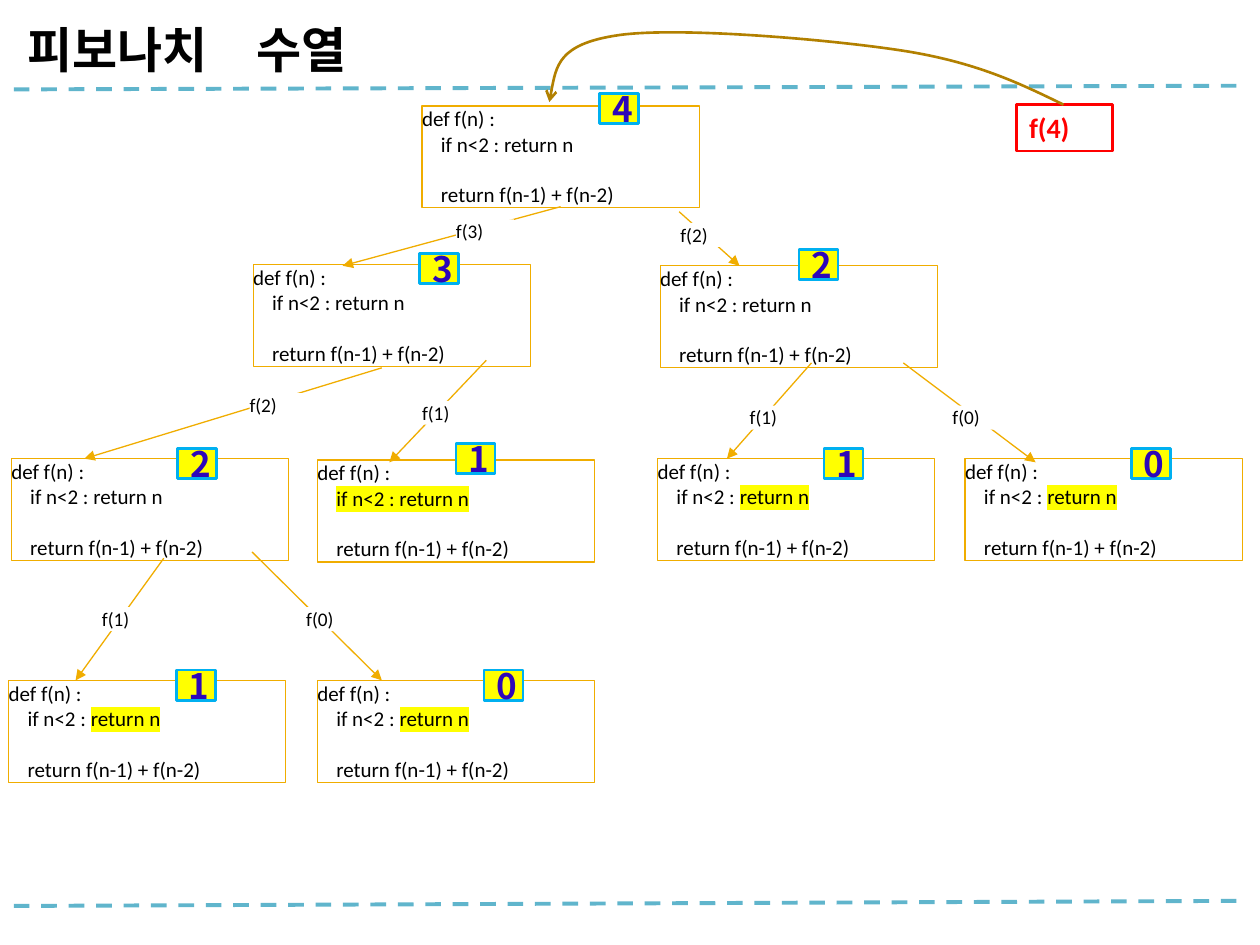
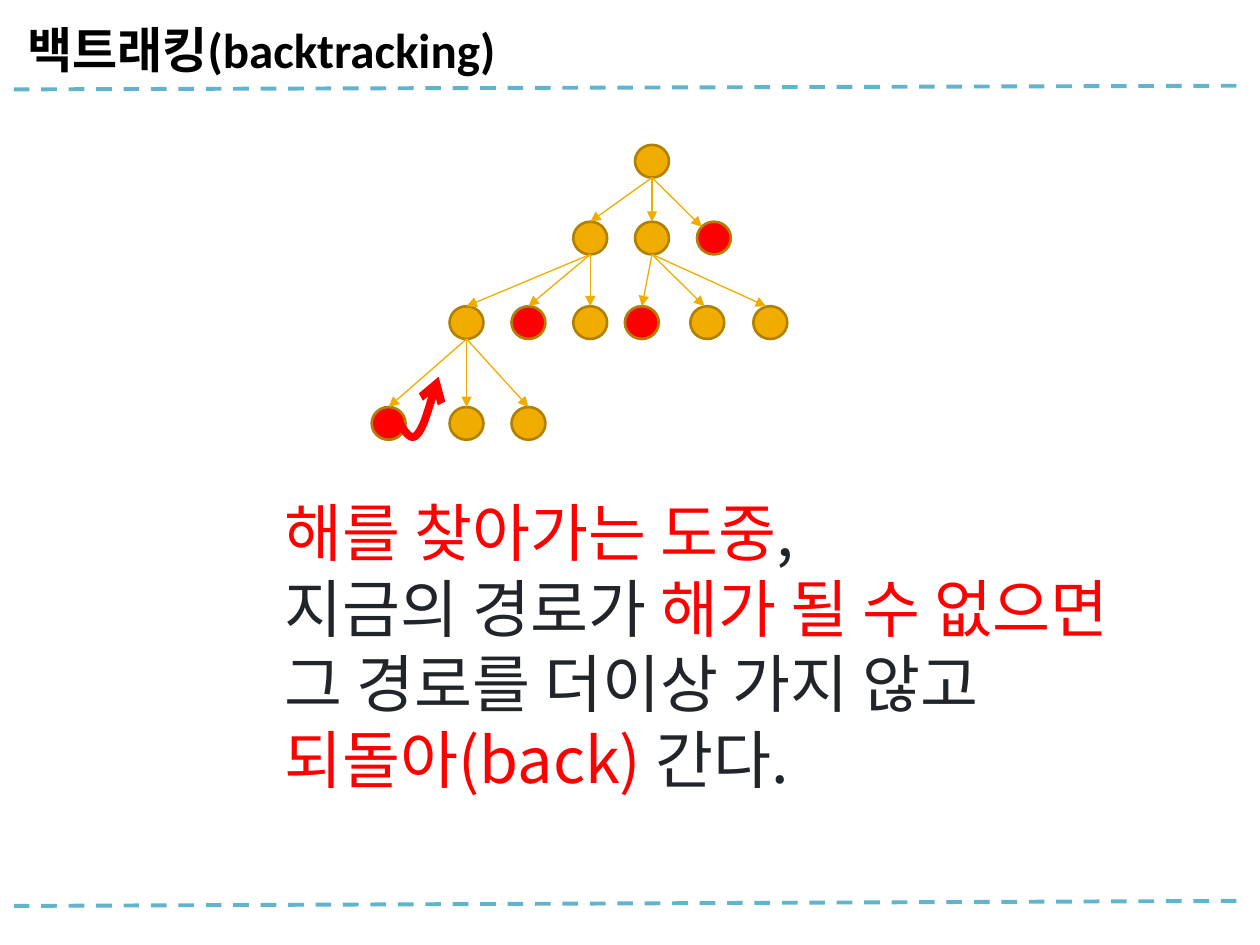
import dataclasses

import pptx
import pptx.dml.color
import pptx.enum.dml
import pptx.enum.shapes
import pptx.enum.text
import pptx.oxml
import pptx.oxml.ns
import pptx.util

Pt = pptx.util.Pt
rgb = pptx.dml.color.RGBColor.from_string
qn = pptx.oxml.ns.qn
shapes = pptx.enum.shapes.MSO_SHAPE
align = pptx.enum.text.PP_ALIGN
anchors = pptx.enum.text.MSO_ANCHOR


@dataclasses.dataclass(frozen=True)
class Theme:
    black: str = "000000"
    white: str = "FFFFFF"
    rule: str = "60B5CC"
    gold: str = "F0AD00"
    bronze: str = "B28000"
    red: str = "FF0000"
    yellow: str = "FFFF00"
    sky: str = "00B0F0"
    violet: str = "2D07B9"
    ink: str = "212529"
    latin: str = "Calibri"
    korean: str = "Noto Sans CJK KR"
    title_size: float = 28
    code_size: float = 12
    call_size: float = 11
    start_size: float = 16
    badge_size: float = 20
    body_size: float = 36


theme = Theme()


def add_box(page, place, kind=shapes.RECTANGLE, fill=None, line=None, line_width=1.5, lines=(),
            size=12, font=theme.latin, bold=False, inset=None, centred=False):
    box = page.shapes.add_shape(kind, *map(Pt, place))
    box.shadow.inherit = False
    if fill:
        box.fill.solid()
        box.fill.fore_color.rgb = rgb(fill)
    else:
        box.fill.background()
    if line:
        box.line.color.rgb = rgb(line)
        box.line.width = Pt(line_width)
    else:
        box.line.fill.background()
    frame = box.text_frame
    frame.word_wrap = True
    frame.vertical_anchor = anchors.MIDDLE if centred else anchors.TOP
    if inset is not None:
        frame.margin_left = frame.margin_right = frame.margin_top = frame.margin_bottom = Pt(inset)
    for number, pieces in enumerate(lines):
        para = frame.add_paragraph() if number else frame.paragraphs[0]
        para.alignment = align.CENTER if centred else align.LEFT
        for text, color, highlight in pieces:
            span = para.add_run()
            span.text = text
            span.font.size = Pt(size)
            span.font.bold = bold
            span.font.color.rgb = rgb(color)
            properties = span.font.color and span._r.get_or_add_rPr()
            if highlight:
                marker = pptx.oxml.parse_xml(
                    f'<a:highlight {pptx.oxml.ns.nsdecls("a")}><a:srgbClr val="{highlight}"/></a:highlight>')
                properties.append(marker)
            span.font.name = font
            east = properties.makeelement(qn("a:ea"), {"typeface": theme.korean})
            properties.append(east)
    return box


def add_line(page, start, end, color, width, tail=None):
    line = page.shapes.add_connector(
        pptx.enum.shapes.MSO_CONNECTOR.STRAIGHT, *map(Pt, start), *map(Pt, end))
    line.line.color.rgb = rgb(color)
    line.line.width = Pt(width)
    outline = line.line._get_or_add_ln()
    if tail:
        outline.append(outline.makeelement(qn("a:tailEnd"), {"type": tail}))
    outline.addnext(outline.makeelement(qn("a:effectLst"), {}))
    return line


deck = pptx.Presentation()
deck.slide_width, deck.slide_height = Pt(720), Pt(540)
layout = deck.slide_layouts[5]

pages = []
for title_text in ("피보나치　수열", "백트래킹(backtracking)"):
    page = deck.slides.add_slide(layout)
    pages.append(page)
    title = page.shapes.title
    title.left, title.top, title.width, title.height = map(Pt, (8.6, 0, 702.7, 48.2))
    title.text_frame.text = title_text
    title.text_frame.vertical_anchor = anchors.BOTTOM
    para = title.text_frame.paragraphs[0]
    para.alignment = align.LEFT
    font = para.runs[0].font
    font.size, font.bold, font.name = Pt(theme.title_size), True, theme.latin
    font.color.rgb = rgb(theme.black)
fibonacci, backtracking = pages

for number, (left_y, right_y) in enumerate([(51.1, 49), (517.7, 514.8)]):
    rule = add_line(fibonacci, (7.9, left_y), (710.6, right_y), theme.rule, 2.25)
    rule.line.dash_style = pptx.enum.dml.MSO_LINE.DASH
    rule._element.nvCxnSpPr.cNvPr.set("id", str(20 + number))
    layout.shapes.element.append(rule._element)

condition, result = "    if n<2 : ", "return n"
pending = [(condition + result, theme.black, None)]
returning = [(condition, theme.black, None), (result, theme.black, theme.yellow)]
matching = [("    ", theme.black, None), ("if n<2 : return n", theme.black, theme.yellow)]
frames = [
    ("4", (241.2, 60.5), (342.7, 53.3), pending),
    ("3", (144.7, 151.2), (239.8, 144.7), pending),
    ("2", (377.3, 151.9), (456.5, 142.6), pending),
    ("2", (6.5, 262.1), (101.5, 256.3), pending),
    ("1", (181.4, 262.8), (260.6, 253.4), matching),
    ("1", (375.8, 262.1), (470.9, 256.3), returning),
    ("0", (551.5, 262.1), (646.6, 256.3), returning),
    ("1", (5, 388.8), (100.8, 383), returning),
    ("0", (181.4, 388.8), (276.5, 383), returning),
]
for value, code_corner, badge_corner, test_line in frames:
    code = add_box(
        fibonacci, (*code_corner, 158.4, 58.3), line=theme.gold, line_width=0.75, inset=0, size=theme.code_size,
        lines=[[("def f(n) :", theme.black, None)], test_line,
               [("    return f(n-1) + f(n-2)", theme.black, None)]])
    code.text_frame.paragraphs[2].space_before = Pt(14.65)
    add_box(fibonacci, (*badge_corner, 22.3, 17.3), fill=theme.yellow, line=theme.sky,
            lines=[[(value, theme.violet, None)]], size=theme.badge_size, font=theme.korean,
            bold=True, centred=True)

calls = [
    ("f(3)", (260.6, 125.3), (320.4, 118.1), (195.8, 151.9)),
    ("f(2)", (388.8, 127.4), (388.1, 121), (422.6, 151.9)),
    ("f(2)", (142.6, 224.6), (218.2, 210.2), (48.2, 262.1)),
    ("f(1)", (241.2, 229), (277.9, 205.9), (222.5, 264.2)),
    ("f(1)", (428.4, 231.8), (463.7, 207.4), (415.4, 262.1)),
    ("f(0)", (544.3, 231.8), (516.2, 207.4), (591.8, 264.2)),
    ("f(1)", (58.3, 347), (93.6, 319), (43.2, 388.8)),
    ("f(0)", (175, 347), (144, 315.4), (218.2, 388.8)),
]
for call, corner, start, end in calls:
    add_line(fibonacci, start, end, theme.gold, 0.75, "triangle")
    add_box(fibonacci, (*corner, 33.1, 13.7), fill=theme.white, inset=0,
            lines=[[(call, theme.black, None)]], size=theme.call_size)
add_box(fibonacci, (581, 59.8, 54.7, 26.6), fill=theme.white, line=theme.red,
        lines=[[("f(4)", theme.red, None)]], size=theme.start_size, bold=True)

node_width, node_height = 19.4, 18.7
level_tops = [82.8, 126.7, 175, 232.6]
branches = [
    (0, None, [(372.6, theme.gold)]),
    (1, 372.6, [(337.3, theme.gold), (372.6, theme.gold), (408, theme.red)]),
    (2, 337.3, [(266.6, theme.gold), (302, theme.red), (337.3, theme.gold)]),
    (2, 372.6, [(366.8, theme.red), (404.2, theme.gold), (440.2, theme.gold)]),
    (3, 266.6, [(222.1, theme.red), (266.6, theme.gold), (302, theme.gold)]),
]
tips = {408: (401, 129.6), 404.2: (402.5, 175), 440.2: (437.8, 175)}
for level, parent, children in branches:
    top = level_tops[level]
    for center, color in children:
        add_box(backtracking, (center - node_width / 2, top, node_width, node_height),
                kind=shapes.OVAL, fill=color, line=theme.bronze)
        if parent:
            add_line(backtracking, (parent, level_tops[level - 1] + node_height),
                     tips.get(center, (center, top)), theme.gold, 0.75, "triangle")

explanation = add_box(backtracking, (155.5, 278.6, 528.5, 181.4), size=theme.body_size, font=theme.korean, lines=[
    [("해를 찾아가는 도중", theme.red, None), (",", theme.ink, None)],
    [("지금의 경로가 ", theme.ink, None), ("해가 될 수 없으면", theme.red, None)],
    [("그 경로를 더이상 가지 않고", theme.ink, None)],
    [("되돌아(back) ", theme.red, None), ("간다.", theme.ink, None)],
])
explanation.text_frame.word_wrap = False

curves = [
    (fibonacci, theme.bronze, 1.5,
     [(607.7, 59.8), (582.5, 47.5), (557.3, 35.3), (514.8, 28.8), (472.3, 22.3),
      (385.9, 15.1), (352.8, 20.2), (319, 25.2), (316.8, 41.8), (313.9, 58.3)]),
    (backtracking, theme.red, 4.5,
     [(227.5, 240.5), (231.1, 246.2), (234.7, 252.7), (238.3, 248.4),
      (241.9, 244.1), (246.2, 229.7), (250.6, 215.3)]),
]
for page, color, width, points in curves:
    builder = page.shapes.build_freeform(*map(Pt, points[0]))
    builder.add_line_segments([tuple(map(Pt, point)) for point in points[1:]], close=False)
    curve = builder.convert_to_shape()
    curve.shadow.inherit = False
    curve.fill.background()
    curve.line.color.rgb = rgb(color)
    curve.line.width = Pt(width)
    outline = curve.line._get_or_add_ln()
    outline.append(outline.makeelement(qn("a:tailEnd"), {"type": "arrow"}))
    segments = list(curve._element.iter(qn("a:lnTo")))
    for first in range(0, len(segments), 3):
        bezier = segments[first].makeelement(qn("a:cubicBezTo"), {})
        segments[first].addprevious(bezier)
        for segment in segments[first:first + 3]:
            bezier.append(segment[0])
            segment.getparent().remove(segment)

deck.save("out.pptx")
